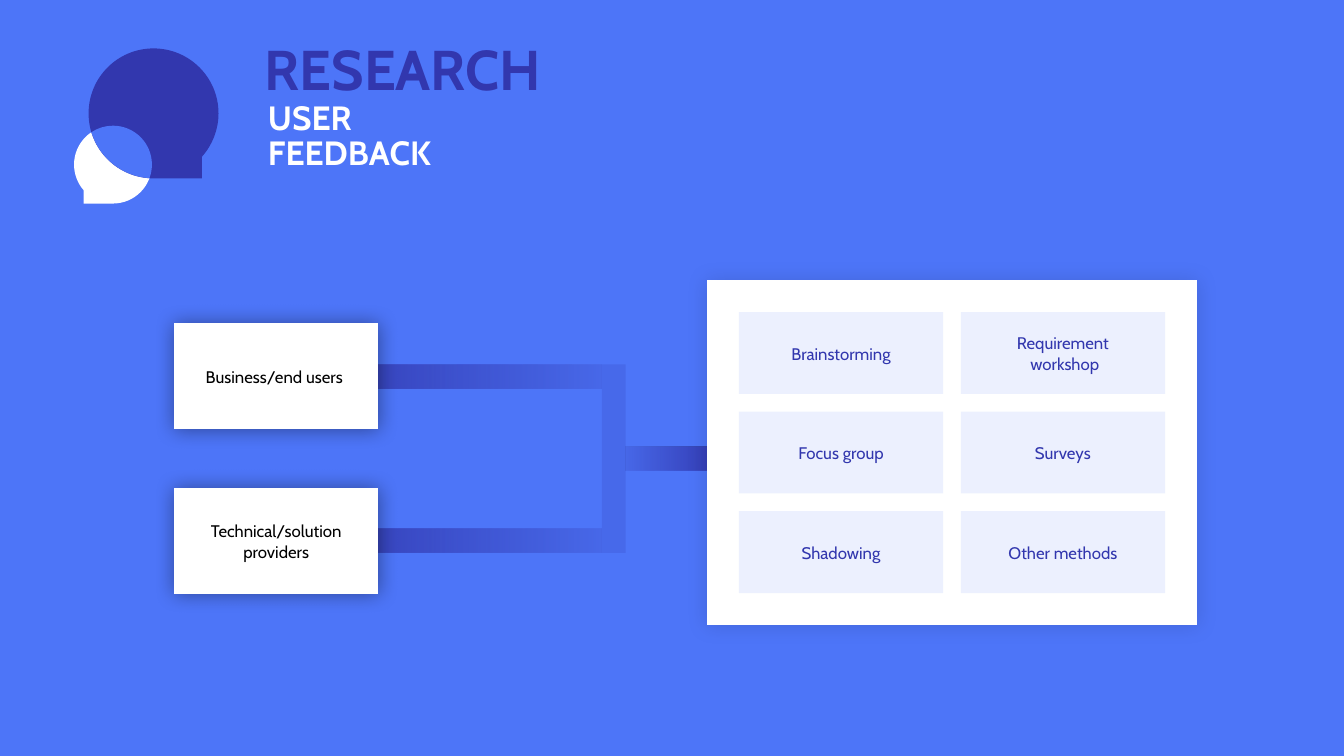
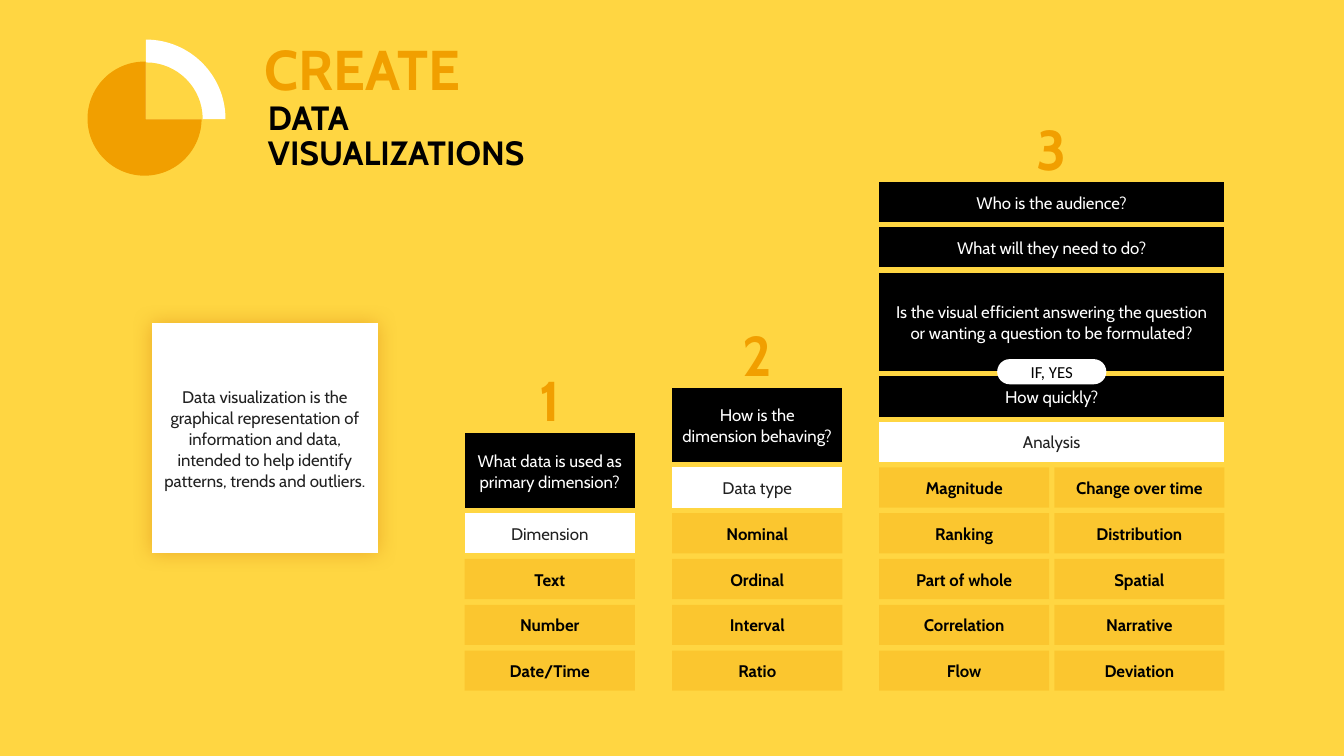
"""Build two slides: user feedback research and data visualizations."""
import math

import pptx
import pptx.dml.color
import pptx.enum.shapes
import pptx.enum.text
import pptx.oxml
import pptx.oxml.ns
import pptx.util

Pt = pptx.util.Pt
SHAPE = pptx.enum.shapes.MSO_SHAPE
ALIGN = pptx.enum.text.PP_ALIGN
MIDDLE = pptx.enum.text.MSO_ANCHOR.MIDDLE
qn = pptx.oxml.ns.qn

WHITE, BLACK, INK = "FFFFFF", "000000", "212121"
BLUE, NAVY = "4D75F8", "3237AE"
YELLOW, ORANGE, BROWN = "FFD642", "F19F00", "CF6E03"
FONT = "Cabin"
ICON = (52, 28)
INSET = 6.5
ROW_H, ROW_GAP, CELL_W = 28.7, 3.6, 121.5


def rgb(value):
    """Return the colour for a hex string."""
    return pptx.dml.color.RGBColor.from_string(value)


def set_alpha(color, percent):
    """Give a colour element an opacity."""
    color.append(pptx.oxml.parse_xml(
        f'<a:alpha {pptx.oxml.ns.nsdecls("a")} val="{percent * 1000}"/>'))


def paint(sp, color, alpha=None):
    """Fill a shape and remove its line and shadow."""
    sp.shadow.inherit = False
    sp.line.fill.background()
    sp.fill.solid()
    sp.fill.fore_color.rgb = rgb(color)
    if alpha:
        set_alpha(next(sp.element.spPr.iter(qn("a:srgbClr"))), alpha)


def glow(sp, color, percent):
    """Add a soft shadow around a shape."""
    sp.element.spPr.find(qn("a:effectLst")).append(pptx.oxml.parse_xml(
        f'<a:outerShdw {pptx.oxml.ns.nsdecls("a")} blurRad="{Pt(15)}" dist="0" dir="0" '
        f'algn="ctr" rotWithShape="0"><a:srgbClr val="{color}">'
        f'<a:alpha val="{percent * 1000}"/></a:srgbClr></a:outerShdw>'))


def write(sp, text, color, size=12, bold=False, align=ALIGN.CENTER, spacing=None,
          font=FONT, inset=INSET):
    """Set and format the text of a shape."""
    tf = sp.text_frame
    tf.text = text
    tf.word_wrap = True
    tf.auto_size = pptx.enum.text.MSO_AUTO_SIZE.NONE
    tf.vertical_anchor = MIDDLE
    tf.margin_left = tf.margin_right = Pt(inset)
    for p in tf.paragraphs:
        p.alignment = align
        if spacing:
            p.line_spacing = Pt(spacing)
        for r in p.runs:
            r.font.name, r.font.size, r.font.bold = font, Pt(size), bold
            r.font.color.rgb = rgb(color)


def add_box(s, x, y, w, h, fill, text="", color=BLACK, alpha=None, bold=False):
    """Add a flat rectangle with centred text."""
    sp = s.shapes.add_shape(SHAPE.FLOWCHART_PROCESS, Pt(x), Pt(y), Pt(w), Pt(h))
    paint(sp, fill, alpha)
    if text:
        write(sp, text, color, bold=bold, spacing=15)
    return sp


def add_text(s, x, y, w, h, text, color, **style):
    """Add a text box."""
    sp = s.shapes.add_textbox(Pt(x), Pt(y), Pt(w), Pt(h))
    write(sp, text, color, **style)


def arc(cx, cy, radius, start, end):
    """Return a line to the start of an arc, then its curves split at quarter turns."""
    quarters = range(math.floor(start / 90) + 1, math.ceil(end / 90))
    stops = [math.radians(a) for a in (start, *(90 * q for q in quarters), end)]

    def point(angle, pull=0):
        return (cx + radius * (math.cos(angle) - pull * math.sin(angle)),
                cy + radius * (math.sin(angle) + pull * math.cos(angle)))

    segments = [[point(stops[0])]]
    for a, b in zip(stops, stops[1:]):
        pull = 4 / 3 * math.tan((b - a) / 4)
        segments.append([point(a, pull), point(b, -pull), point(b)])
    return segments


def add_outline(s, segments, color):
    """Add a closed outline of one-point lines and three-point curves."""
    (x, y), *rest = [(Pt(px), Pt(py)) for segment in segments for px, py in segment]
    builder = s.shapes.build_freeform(x, y)
    builder.add_line_segments(rest, close=True)
    sp = builder.convert_to_shape()
    lines = iter(list(sp.element.spPr.iter(qn("a:lnTo"))))
    for segment in segments[1:]:
        parts = [next(lines) for _ in segment]
        if len(parts) == 3:
            curve = pptx.oxml.parse_xml(f'<a:cubicBezTo {pptx.oxml.ns.nsdecls("a")}/>')
            parts[0].addprevious(curve)
            for part in parts:
                curve.append(part[0])
                part.getparent().remove(part)
    paint(sp, color)


def bubbles_icon(s, x, y):
    """Draw two overlapping speech bubbles."""
    big = (x + 57.7, y + 53, 46.4)
    small = (x + 28.7, y + 89.6, 27.8)
    add_outline(s, arc(*small, 139, 450) + [[(x + 7.8, y + 117.4)]], WHITE)
    add_outline(s, arc(*big, 90, 402) + [[(x + 92.2, y + 99.4)]], NAVY)
    add_outline(s, arc(*small, 236, 379) + arc(*big, 94, 161), BLUE)


def pie_icon(s, x, y):
    """Draw a pie with one raised quarter."""
    sp = s.shapes.add_shape(SHAPE.OVAL, Pt(x + 10.5), Pt(y + 16), Pt(81.5), Pt(81.5))
    paint(sp, ORANGE)
    cx, cy = x + 52.3, y + 57.1
    for radius, color in ((56.8, WHITE), (40.5, YELLOW)):
        add_outline(s, [[(cx, cy)]] + arc(cx, cy, radius, 270, 360), color)


def add_slide(prs, background, title, title_color, subtitle, subtitle_color, icon):
    """Add a slide with background, icon, title and subtitle lines."""
    s = prs.slides.add_slide(prs.slide_layouts[5])
    s.background.fill.solid()
    s.background.fill.fore_color.rgb = rgb(background)
    icon(s, *ICON)
    sp = s.shapes.title
    sp.left, sp.top, sp.width, sp.height = Pt(182), Pt(2), Pt(243), Pt(93)
    write(sp, title, title_color, size=40, bold=True, align=ALIGN.LEFT, inset=7.2)
    for i, line in enumerate(subtitle):
        add_text(s, 184.3, 68.3 + 25 * i, 209, 30, line, subtitle_color, size=24,
                 bold=True, align=ALIGN.LEFT, inset=7.2)
    return s


def add_fading_bar(s, x, y, w, h, rotation=0):
    """Add a bar that fades along its length."""
    sp = add_box(s, x, y, w, h, NAVY)
    sp.rotation = rotation
    sp.fill.gradient()
    sp.fill.gradient_angle = 0
    for stop, position in zip(sp.fill.gradient_stops, (0.2, 1)):
        stop.position = position
        stop.color.rgb = rgb(NAVY)
    set_alpha(list(sp.element.spPr.iter(qn("a:srgbClr")))[-1], 20)


def sources(s, x, y, w, h, labels):
    """Draw source boxes whose bars join and lead to the right edge."""
    box_w, box_h, bar = 146, 75.6, 17
    joint = x + w - 92 - bar
    gap = (h - len(labels) * box_h) / (len(labels) - 1)
    for i, label in enumerate(labels):
        top = y + i * (box_h + gap)
        add_fading_bar(s, x + 10, top + (box_h - bar) / 2, joint - x - 10, bar)
        sp = add_box(s, x, top, box_w, box_h, WHITE, label)
        glow(sp, BLACK, 40)
    add_box(s, joint, y + (box_h - bar) / 2, bar, h - box_h + bar, NAVY, alpha=19)
    add_fading_bar(s, joint + bar, y + (h - bar) / 2, 92, bar, 180)


def methods(s, x, y, w, h, labels):
    """Draw a panel holding a two-column grid of cards."""
    pad, gap, cols = 22.8, 12.6, 2
    rows = math.ceil(len(labels) / cols)
    card_w = (w - 2 * pad - gap * (cols - 1)) / cols
    card_h = (h - 2 * pad - gap * (rows - 1)) / rows
    glow(add_box(s, x, y, w, h, WHITE), BLACK, 13)
    for i, label in enumerate(labels):
        row, col = divmod(i, cols)
        add_box(s, x + pad + col * (card_w + gap), y + pad + row * (card_h + gap),
                card_w, card_h, BLUE, label, NAVY, alpha=10)


def step(s, x, bottom, number, questions, label, rows):
    """Stack a numbered step upwards from its bottom and return the last question's top."""
    pitch = ROW_H + 4
    cols = len(rows[0])
    w = cols * CELL_W + (cols - 1) * ROW_GAP
    label_top = bottom - ROW_H - len(rows) * pitch
    for i, row in enumerate(rows):
        for j, text in enumerate(row):
            add_box(s, x + j * (CELL_W + ROW_GAP), label_top + (i + 1) * pitch,
                    CELL_W, ROW_H, ORANGE, text, alpha=28, bold=True)
    add_box(s, x, label_top, w, ROW_H, WHITE, label, INK)
    top = label_top
    for text, height in reversed(questions):
        top -= height + ROW_GAP
        add_box(s, x, top, w, height, BLACK, text, WHITE)
    add_text(s, x, top - 44, w, 40, number, ORANGE, size=40, bold=True)
    return label_top - ROW_GAP - questions[-1][1]


def pill(s, cx, y, w, h, text):
    """Add a rounded label centred on an x position."""
    sp = s.shapes.add_shape(SHAPE.ROUNDED_RECTANGLE, Pt(cx - w / 2), Pt(y), Pt(w), Pt(h))
    sp.adjustments[0] = 0.5
    paint(sp, WHITE)
    write(sp, text, BLACK, font="Calibri")


def research_slide(prs):
    """Build the user feedback slide."""
    s = add_slide(prs, BLUE, "RESEARCH", NAVY, ["USER", "FEEDBACK"], WHITE, bubbles_icon)
    sources(s, 124.3, 231, 414.7, 193.2,
            ["Business/end users ", "Technical/solution providers"])
    methods(s, 505, 200.1, 350, 246.3,
            ["Brainstorming", "Requirement\n workshop", "Focus group",
             "Surveys", "Shadowing", "Other methods"])


def visualization_slide(prs):
    """Build the data visualizations slide."""
    s = add_slide(prs, YELLOW, "CREATE", ORANGE, ["DATA", "VISUALIZATIONS"], BLACK,
                  pie_icon)
    sp = add_box(s, 108.6, 231, 161.4, 164, WHITE,
                 "Data visualization is the graphical representation of information and "
                 "data, intended to help identify patterns, trends and outliers.", INK)
    glow(sp, BROWN, 40)
    bottom = 493.4
    step(s, 332, bottom, "1", [("What data is used as primary dimension?", 54)],
         "Dimension", [["Text"], ["Number"], ["Date/Time"]])
    step(s, 480.2, bottom, "2", [("How is the dimension behaving? ", 53.5)],
         "Data type", [["Nominal"], ["Ordinal"], ["Interval"], ["Ratio"]])
    seam = step(s, 628, bottom, "3",
                [("Who is the audience?", ROW_H),
                 ("What will they need to do?", ROW_H),
                 ("Is the visual efficient answering the question or wanting "
                  "a question to be formulated?", 70.6),
                 ("How quickly?", ROW_H)],
                "Analysis",
                [["Magnitude", "Change over time"], ["Ranking", "Distribution"],
                 ["Part of whole", "Spatial"], ["Correlation", "Narrative"],
                 ["Flow", "Deviation"]])
    pill(s, 628 + CELL_W + ROW_GAP / 2, seam - 12.4, 78, 18, "IF, YES")


def main():
    """Build and save the presentation."""
    prs = pptx.Presentation()
    prs.slide_width, prs.slide_height = Pt(960), Pt(540)
    research_slide(prs)
    visualization_slide(prs)
    prs.save("out.pptx")


if __name__ == "__main__":
    main()
